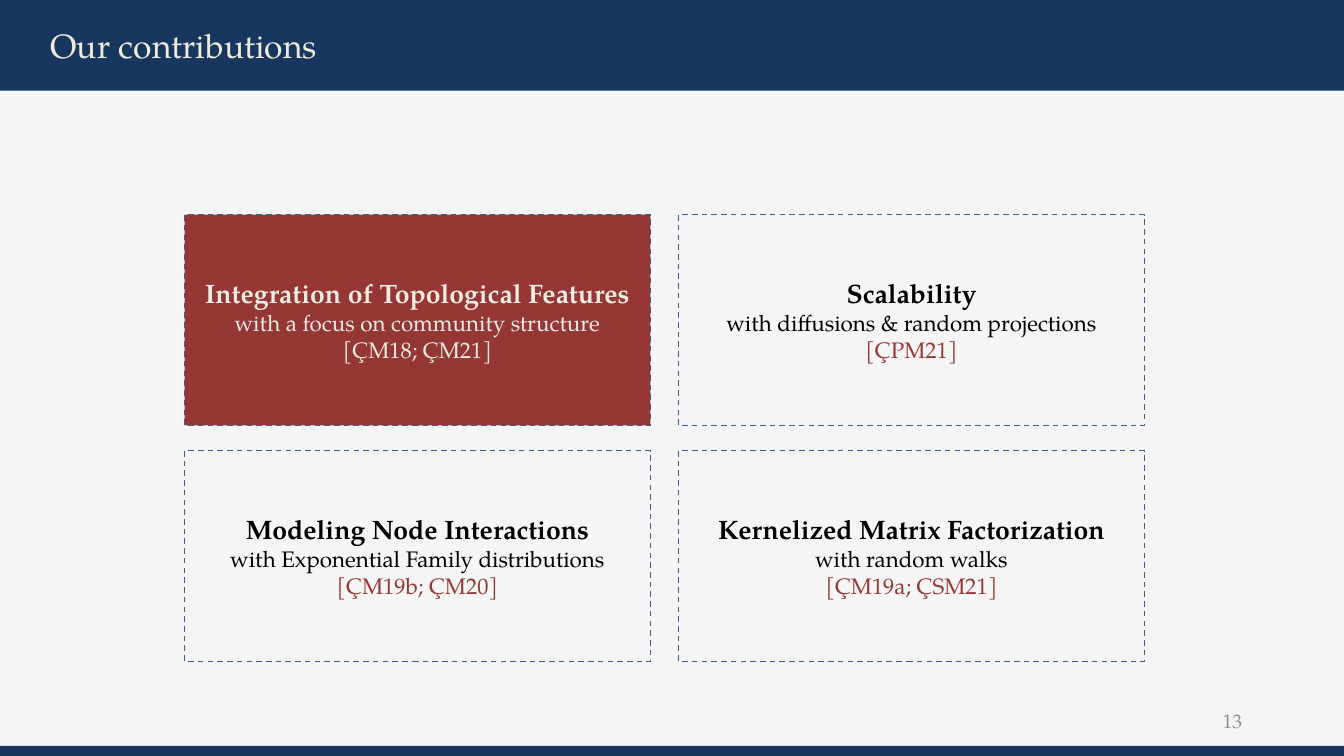
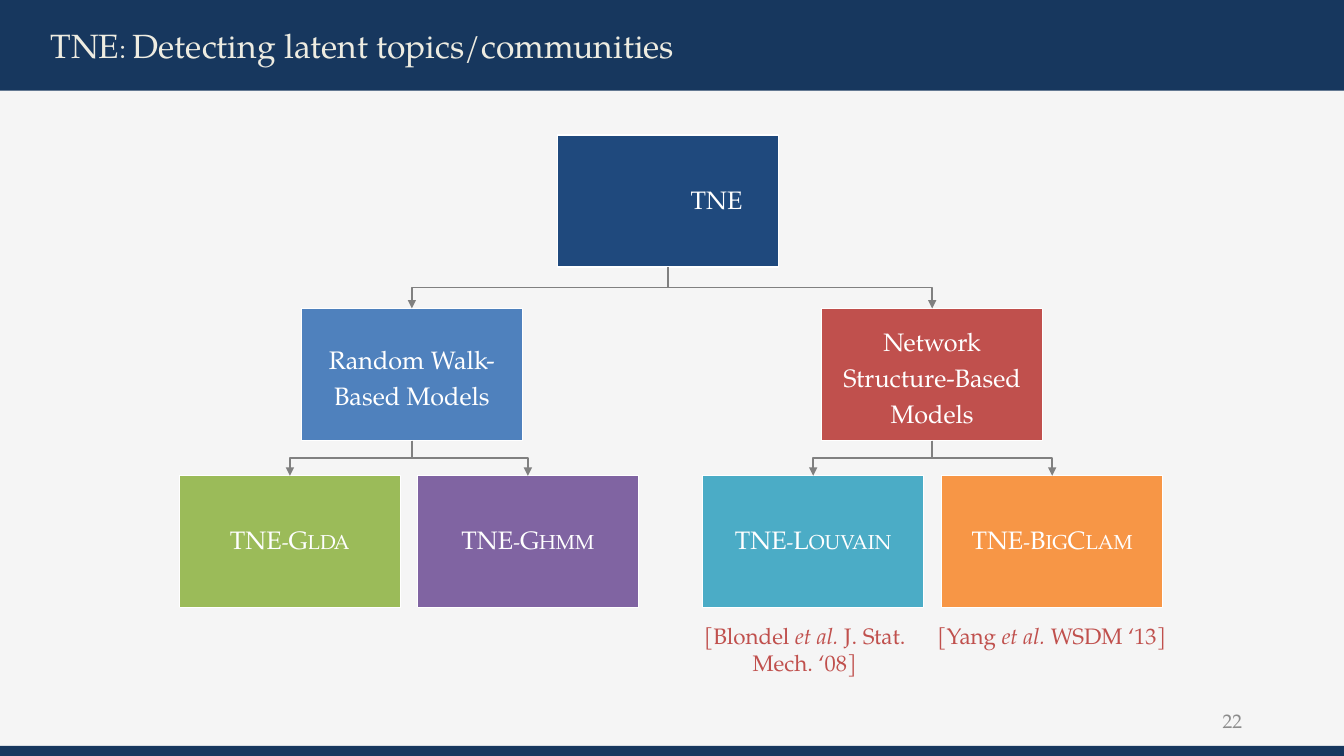
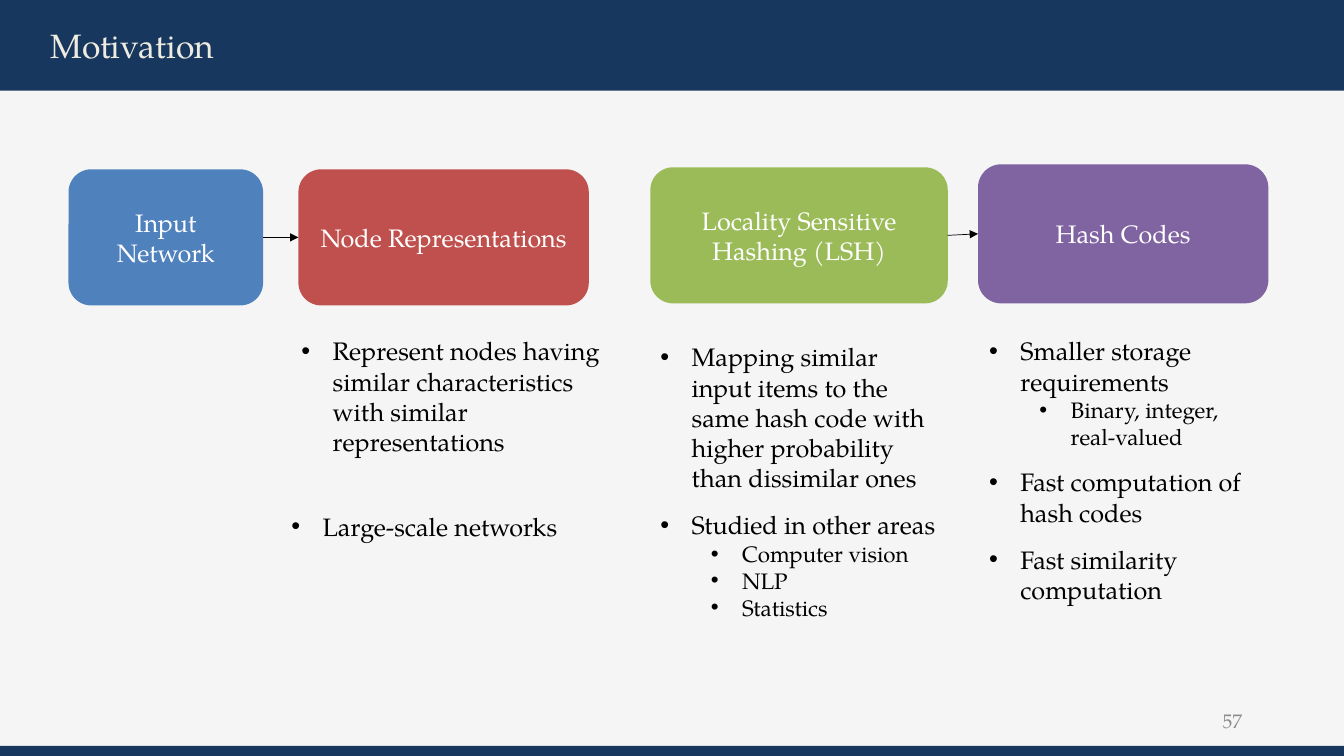
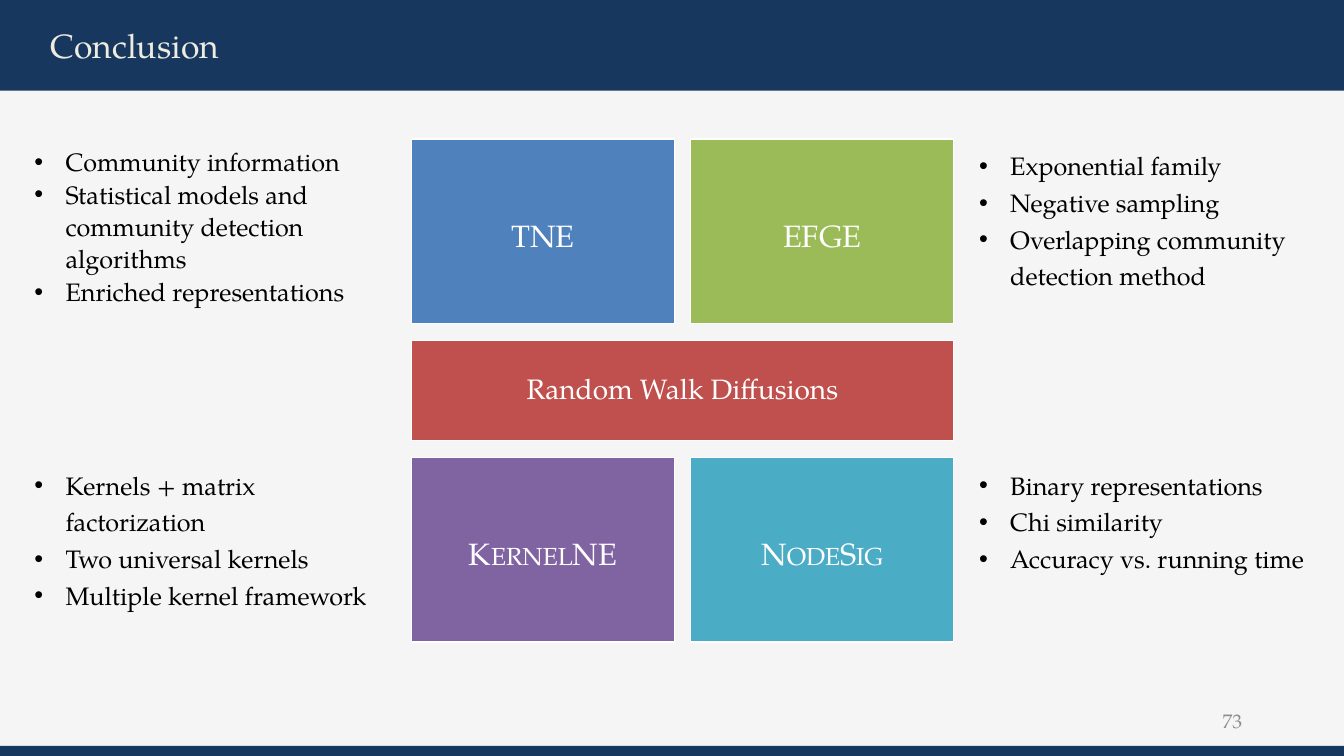
from dataclasses import dataclass

from lxml.etree import SubElement
from pptx import Presentation
from pptx.dml.color import RGBColor
from pptx.enum.dml import MSO_LINE
from pptx.enum.shapes import MSO_CONNECTOR, MSO_SHAPE
from pptx.enum.text import MSO_ANCHOR, MSO_AUTO_SIZE, PP_ALIGN
from pptx.oxml.ns import qn
from pptx.util import Inches, Pt

SLIDE_WIDTH, SLIDE_HEIGHT = 13.33, 7.5
TITLE_ONLY, FOUR_BODIES = 5, 4
TOP_SITE, LEFT_SITE, BOTTOM_SITE, RIGHT_SITE = range(4)


@dataclass(frozen=True)
class Theme:
    font: str = "TeX Gyre Pagella"
    paper: str = "F5F5F5"
    band: str = "17375E"
    cream: str = "EEECE1"
    ink: str = "000000"
    white: str = "FFFFFF"
    muted: str = "8C8C8C"
    wire: str = "808080"
    dash: str = "3A5F8C"
    maroon: str = "953735"
    navy: str = "1F497D"
    blue: str = "4F81BD"
    red: str = "C0504D"
    green: str = "9BBB59"
    purple: str = "8064A2"
    teal: str = "4BACC6"
    orange: str = "F79646"
    title: float = 24
    tile: float = 22
    banner: float = 20
    heading: float = 19
    body: float = 18
    detail: float = 16
    number: float = 14


THEME = Theme()


@dataclass(frozen=True)
class Box:
    left: float
    top: float
    width: float
    height: float

    def inches(self):
        return [Inches(n) for n in (self.left, self.top, self.width, self.height)]

    def cell(self, column, row, width, height):
        """Cell of a 2 by 2 grid that touches all four corners of the box."""
        return Box(self.left + column * (self.width - width),
                   self.top + row * (self.height - height), width, height)


@dataclass(frozen=True)
class Span:
    text: str
    size: float = THEME.body
    color: str = THEME.ink
    bold: bool = False
    italic: bool = False
    small_caps: bool = False


@dataclass(frozen=True)
class Item:
    text: str
    level: int = 0
    space_before: float = 0


def add_spans(para, spans):
    for span in spans:
        run = para.add_run()
        run.text = span.text
        font = run.font
        font.name, font.size = THEME.font, Pt(span.size)
        font.bold, font.italic = span.bold, span.italic
        font.color.rgb = RGBColor.from_string(span.color)
        if span.small_caps:
            run._r.get_or_add_rPr().set("cap", "small")


def write(shape, paragraphs, align=PP_ALIGN.CENTER, anchor=MSO_ANCHOR.MIDDLE, spacing=None):
    frame = shape.text_frame
    frame.word_wrap = True
    frame.auto_size = MSO_AUTO_SIZE.NONE
    frame.vertical_anchor = anchor
    for index, spans in enumerate(paragraphs):
        para = frame.add_paragraph() if index else frame.paragraphs[0]
        para.alignment = align
        para.line_spacing = spacing
        add_spans(para, spans)


def set_insets(shape, left, top, right, bottom):
    frame = shape.text_frame
    frame.margin_left, frame.margin_top = Inches(left), Inches(top)
    frame.margin_right, frame.margin_bottom = Inches(right), Inches(bottom)


def place(shape, box):
    shape.left, shape.top, shape.width, shape.height = box.inches()


def paint(shape, color):
    shape.fill.solid()
    shape.fill.fore_color.rgb = RGBColor.from_string(color)


def add_panel(page, box, fill=None, line=None, kind=MSO_SHAPE.RECTANGLE):
    shape = page.shapes.add_shape(kind, *box.inches())
    shape.shadow.inherit = False
    if fill:
        paint(shape, fill)
    else:
        shape.fill.background()
    if line:
        shape.line.color.rgb = RGBColor.from_string(line)
        shape.line.width = Pt(1)
    else:
        shape.line.fill.background()
    return shape


def add_text(page, box, spans, align=PP_ALIGN.CENTER, anchor=MSO_ANCHOR.TOP):
    write(page.shapes.add_textbox(*box.inches()), [spans], align, anchor)


def add_tile(page, box, color, span, spacing, left_inset=0.15):
    tile = add_panel(page, box, color, THEME.white)
    write(tile, [[span]], spacing=spacing)
    set_insets(tile, left_inset, 0.16, 0.15, 0.16)
    return tile


def fill_list(placeholder, box, items, spacing=None):
    place(placeholder, box)
    sizes = (THEME.body, THEME.detail)
    write(placeholder, [[Span(item.text, sizes[item.level])] for item in items],
          PP_ALIGN.LEFT, MSO_ANCHOR.TOP, spacing)
    for para, item in zip(placeholder.text_frame.paragraphs, items):
        para.level = item.level
        para.space_before = Pt(item.space_before)
        properties = para._p.get_or_add_pPr()
        properties.set("marL", str(Inches(0.31 + 0.5 * item.level)))
        properties.set("indent", str(-Inches(0.31)))
        SubElement(properties, qn("a:buFont")).set("typeface", "Arial")
        SubElement(properties, qn("a:buChar")).set("char", "•")


def add_arrow(page, kind, start, start_site, end, end_site, color, width):
    arrow = page.shapes.add_connector(kind, 0, 0, 0, 0)
    arrow.begin_connect(start, start_site)
    arrow.end_connect(end, end_site)
    arrow.line.color.rgb = RGBColor.from_string(color)
    arrow.line.width = Pt(width)
    SubElement(arrow.line._get_or_add_ln(), qn("a:tailEnd")).set("type", "triangle")
    SubElement(arrow._element.spPr, qn("a:effectLst"))
    return arrow


def add_branch(page, parent, child):
    """Elbow arrow that leaves downwards: the preset runs sideways, so it is turned."""
    arrow = add_arrow(page, MSO_CONNECTOR.ELBOW, parent, BOTTOM_SITE, child, TOP_SITE,
                      THEME.wire, 1)
    left, top, across, down = arrow.left, arrow.top, arrow.width, arrow.height
    goes_right = child.left > parent.left
    arrow.left, arrow.top = left + (across - down) // 2, top + (down - across) // 2
    arrow.width, arrow.height = down, across
    transform = arrow._element.spPr.find(qn("a:xfrm"))
    transform.set("rot", str((270 if goes_right else 90) * 60000))
    transform.set("flipH", "1" if goes_right else "0")


def add_page(deck, layout, title_spans, number):
    page = deck.slides.add_slide(deck.slide_layouts[layout])
    title = page.shapes.title
    place(title, Box(0, 0, SLIDE_WIDTH, 0.9))
    paint(title, THEME.band)
    write(title, [title_spans], PP_ALIGN.LEFT)
    set_insets(title, 0.5, 0.05, 0.1, 0.05)
    add_panel(page, Box(0, SLIDE_HEIGHT - 0.1, SLIDE_WIDTH, 0.1), THEME.band)
    add_text(page, Box(9.42, 6.95, 3, 0.4), [Span(number, THEME.number, THEME.muted)],
             PP_ALIGN.RIGHT, MSO_ANCHOR.MIDDLE)
    return page


def title_span(text, small_caps=False):
    return Span(text, THEME.title, THEME.cream, small_caps=small_caps)


def add_contributions(page, area):
    contributions = [
        ("Integration of Topological Features", "with a focus on community structure",
         "[ÇM18; ÇM21]"),
        ("Scalability", "with diffusions & random projections", "[ÇPM21]"),
        ("Modeling Node Interactions", "with Exponential Family distributions",
         "[ÇM19b; ÇM20]"),
        ("Kernelized Matrix Factorization", "with random walks", "[ÇM19a; ÇSM21]"),
    ]
    for index, (heading, detail, citation) in enumerate(contributions):
        current = index == 0
        row, column = divmod(index, 2)
        card = add_panel(page, area.cell(column, row, 4.62, 2.09),
                         THEME.maroon if current else None, THEME.dash)
        card.line.dash_style = MSO_LINE.DASH
        ink = THEME.cream if current else THEME.ink
        write(card, [
            [Span(heading, THEME.heading, ink, bold=True)],
            [Span(detail, THEME.detail, ink)],
            [Span(citation, THEME.detail, THEME.cream if current else THEME.maroon)],
        ])


def add_model_tree(page, area):
    row_tops = (0, 1.72, 3.38)

    def add_node(row, offset, text, color, small_caps=True, left_inset=0.15):
        box = Box(area.left + offset, area.top + row_tops[row], 2.19, 1.31)
        span = Span(text, color=THEME.white, small_caps=small_caps)
        return add_tile(page, box, color, span, 0.9 if small_caps else 1.2, left_inset)

    root = add_node(0, 3.75, "TNE", THEME.navy, left_inset=0.6)
    families = [
        (1.21, "Random Walk-Based Models", THEME.blue,
         [(0, "TNE-Glda", THEME.green), (2.36, "TNE-Ghmm", THEME.purple)]),
        (6.37, "Network Structure-Based Models", THEME.red,
         [(5.19, "TNE-Louvain", THEME.teal), (7.56, "TNE-BigClam", THEME.orange)]),
    ]
    for offset, name, color, models in families:
        family = add_node(1, offset, name, color, small_caps=False)
        add_branch(page, root, family)
        for model in models:
            add_branch(page, family, add_node(2, *model))

    citations = [(4.89, "[Blondel ", "et al.", " J. Stat. Mech. ‘08]"),
                 (7.34, "[Yang ", "et al. ", "WSDM ‘13]")]
    for offset, *parts in citations:
        spans = [Span(part, THEME.detail, THEME.red, italic=index == 1)
                 for index, part in enumerate(parts)]
        add_text(page, Box(area.left + offset, area.top + 4.78, 2.62, 0.64), spans)


def add_pipeline(page, area):
    stages = [
        (0, 0.05, 1.93, 1.35, "Input Network", THEME.blue),
        (2.28, 0.05, 2.88, 1.35, "Node Representations", THEME.red),
        (5.77, 0.03, 2.95, 1.35, "Locality Sensitive Hashing (LSH)", THEME.green),
        (9.02, 0, 2.88, 1.38, "Hash Codes", THEME.purple),
    ]
    shapes = []
    for left, top, width, height, text, color in stages:
        box = Box(area.left + left, area.top + top, width, height)
        stage = add_panel(page, box, color, kind=MSO_SHAPE.ROUNDED_RECTANGLE)
        write(stage, [[Span(text, color=THEME.white)]])
        shapes.append(stage)
    for start, end in (shapes[:2], shapes[2:]):
        add_arrow(page, MSO_CONNECTOR.STRAIGHT, start, RIGHT_SITE, end, LEFT_SITE,
                  THEME.ink, 0.5)


def add_stage_notes(page, area):
    notes = [
        (Box(0.1, 0, 3.16, 1.31), [
            Item("Represent nodes having similar characteristics with similar representations")]),
        (Box(0, 1.74, 2.88, 0.4), [Item("Large-scale networks")]),
        (Box(3.66, 0.06, 2.95, 2.88), [
            Item("Mapping similar input items to the same hash code with higher probability "
                 "than dissimilar ones"),
            Item("Studied in other areas", space_before=12),
            Item("Computer vision", 1), Item("NLP", 1), Item("Statistics", 1)]),
        (Box(6.92, 0, 2.88, 2.78), [
            Item("Smaller storage requirements"),
            Item("Binary, integer, real-valued", 1),
            Item("Fast computation of hash codes", space_before=12),
            Item("Fast similarity computation", space_before=12)]),
    ]
    for index, (box, items) in enumerate(notes, 1):
        moved = Box(area.left + box.left, area.top + box.top, box.width, box.height)
        fill_list(page.placeholders[index], moved, items)


def add_method_tiles(page, area):
    tiles = [("TNE", THEME.blue), ("EFGE", THEME.green),
             ("KernelNE", THEME.purple), ("NodeSig", THEME.teal)]
    for index, (name, color) in enumerate(tiles):
        row, column = divmod(index, 2)
        span = Span(name, THEME.tile, THEME.white, small_caps=row == 1)
        add_tile(page, area.cell(column, row, 2.61, 1.83), color, span, 1.2)
    add_tile(page, area.cell(0, 0.5, area.width, 0.99), THEME.red,
             Span("Random Walk Diffusions", THEME.banner, THEME.white), 0.9)


def add_method_notes(page, area):
    notes = [
        (23.2, ["Community information",
                "Statistical models and community detection algorithms",
                "Enriched representations"]),
        (26.2, ["Exponential family", "Negative sampling",
                "Overlapping community detection method"]),
        (26.2, ["Kernels + matrix factorization", "Two universal kernels",
                "Multiple kernel framework"]),
        (26.2, ["Binary representations", "Chi similarity", "Accuracy vs. running time"]),
    ]
    widths = (3.84, 3.48)
    for index, (spacing, texts) in enumerate(notes):
        row, column = divmod(index, 2)
        box = area.cell(column, row, widths[column], 1.71)
        fill_list(page.placeholders[index + 1], box, [Item(text) for text in texts], Pt(spacing))


def main():
    deck = Presentation()
    deck.slide_width, deck.slide_height = Inches(SLIDE_WIDTH), Inches(SLIDE_HEIGHT)
    paint(deck.slide_master.background, THEME.paper)

    page = add_page(deck, TITLE_ONLY, [title_span("Our contributions")], "13")
    add_contributions(page, Box(1.83, 2.13, 9.52, 4.43))

    page = add_page(deck, TITLE_ONLY, [
        title_span("TNE: ", small_caps=True),
        title_span("Detecting latent topics/communities")], "22")
    add_model_tree(page, Box(1.78, 1.34, 9.75, 5.43))

    page = add_page(deck, FOUR_BODIES, [title_span("Motivation")], "57")
    add_pipeline(page, Box(0.68, 1.63, 11.9, 1.4))
    add_stage_notes(page, Box(2.79, 3.28, 9.8, 2.94))

    page = add_page(deck, FOUR_BODIES, [title_span("Conclusion")], "73")
    add_method_tiles(page, Box(4.08, 1.38, 5.38, 4.99))
    add_method_notes(page, Box(0.24, 1.38, 12.85, 4.88))

    deck.save("out.pptx")


if __name__ == "__main__":
    main()
